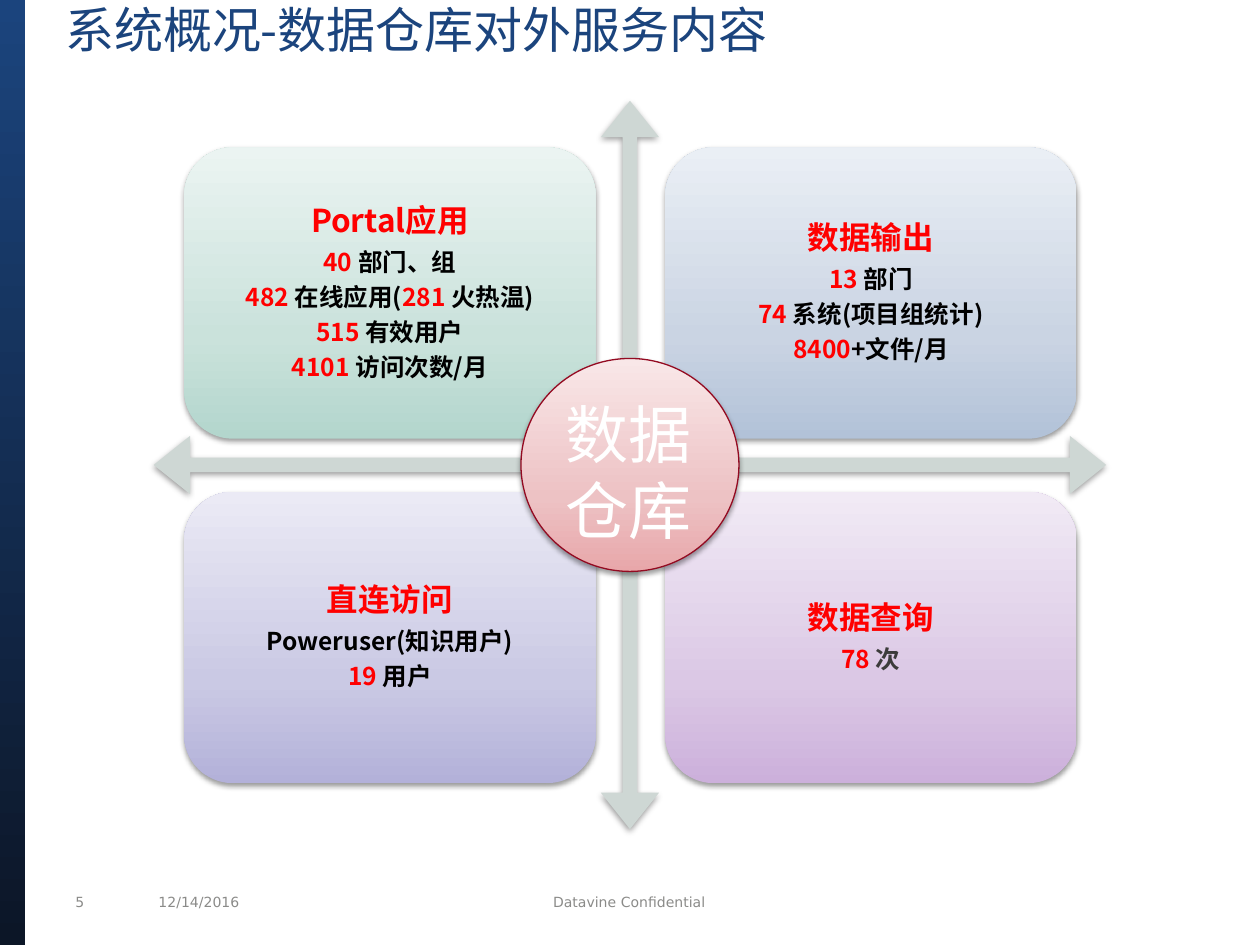
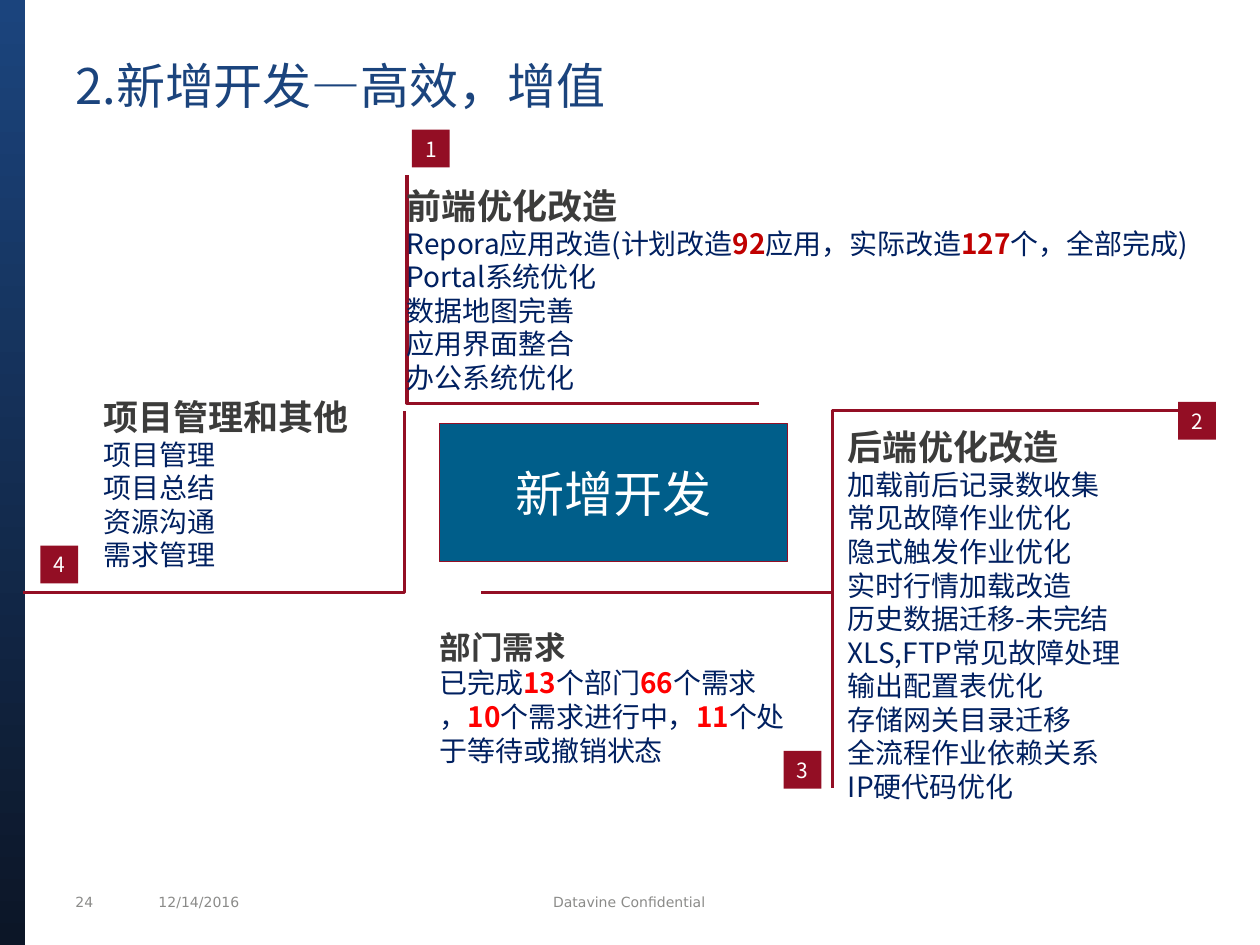
from dataclasses import dataclass
from lxml.etree import SubElement
from pptx import Presentation
from pptx.dml.color import RGBColor
from pptx.enum.shapes import MSO_SHAPE as Kind
from pptx.enum.text import MSO_ANCHOR as Anchor, PP_ALIGN as Align
from pptx.oxml.ns import qn
from pptx.util import Inches, Pt


@dataclass(frozen=True)
class Theme:
    font: str = "Noto Sans CJK SC"
    small: str = "DejaVu Sans"
    title: str = "1B447D"
    night: str = "0C1627"
    grey: str = "8B8B89"
    dark: str = "3C3C3B"
    black: str = "000000"
    white: str = "FFFFFF"
    navy: str = "002060"
    red: str = "FF0000"
    brick: str = "C00000"
    wine: str = "930E24"
    rim: str = "930A21"
    blue: str = "005E8A"
    arrow: str = "CED7D4"
    green: tuple = ("B3D6CD", "CAE2DB", "EBF4F2")
    steel: tuple = ("B2C2D8", "CAD4E3", "EAEFF5")
    violet: tuple = ("B3B1D9", "CAC9E4", "EBEAF5")
    mauve: tuple = ("CCB0DB", "DBC8E5", "F1EAF5")
    rose: tuple = ("E8A7AA", "EDC2C4", "F9E7E8")
    tiny: int = 8
    badge: int = 12
    fact: int = 14
    body: int = 16
    card: int = 18
    head: int = 20
    big: int = 28
    hub: int = 36


T = Theme()
COLS, ROWS = 10, 7.5  # one grid cell is one inch square
LEAD = 1.2  # line height as a share of the type size


def place(box):
    return [Inches(v) for v in box]


def paint(shape, fill=None, line=None, width=0.75, shadow=False):
    """Fill with one colour or with gradient stops, from bottom to top."""
    if fill is None:
        shape.fill.background()
    elif isinstance(fill, str):
        shape.fill.solid()
        shape.fill.fore_color.rgb = RGBColor.from_string(fill)
    else:
        shape.fill.gradient()
        shape.fill.gradient_angle = 90
        stops = shape._element.spPr.find(qn("a:gradFill")).find(qn("a:gsLst"))
        for stop in list(stops):
            stops.remove(stop)
        marks = (0, 35, 100) if len(fill) == 3 else (0, 100)
        for mark, tone in zip(marks, fill):
            stop = SubElement(stops, qn("a:gs"), pos=str(mark * 1000))
            SubElement(stop, qn("a:srgbClr"), val=tone)
    if line:
        shape.line.color.rgb = RGBColor.from_string(line)
        shape.line.width = Pt(width)
    else:
        shape.line.fill.background()
    shape.shadow.inherit = False
    if shadow:
        effect = shape._element.spPr.find(qn("a:effectLst"))
        cast = SubElement(effect, qn("a:outerShdw"), blurRad=str(Pt(3.1)),
                          dist=str(Pt(1.6)), dir="5400000", rotWithShape="0")
        tone = SubElement(cast, qn("a:srgbClr"), val=T.black)
        SubElement(tone, qn("a:alpha"), val="38000")


def draw(slide, kind, box, **look):
    shape = slide.shapes.add_shape(kind, *place(box))
    paint(shape, **look)
    return shape


def label(slide, box, lines, **form):
    shape = slide.shapes.add_textbox(*place(box))
    write(shape, lines, **form)


def write(shape, lines, size=T.body, color=T.navy, mark=T.red, font=T.font, bold=False,
          head=None, tint=T.dark, align=Align.LEFT, anchor=Anchor.MIDDLE,
          pad=(0, 0), wrap=True, lead=LEAD, after=0):
    """Write lines; parts between stars are accented, head is the first line's size."""
    frame = shape.text_frame
    frame.word_wrap = wrap
    frame.vertical_anchor = anchor
    frame.margin_left = frame.margin_right = Inches(pad[0])
    frame.margin_top = frame.margin_bottom = Inches(pad[1])
    for row, line in enumerate(lines):
        para = frame.add_paragraph() if row else frame.paragraphs[0]
        top = head is not None and row == 0
        points = head if top else size
        para.alignment = align
        para.line_spacing = Pt(points * lead)
        para.space_after = Pt(points * after)
        for turn, part in enumerate(line.split("*")):
            if not part:
                continue
            accent = turn % 2 == 1
            run = para.add_run()
            run.text = part
            run.font.size = Pt(points)
            run.font.name = font
            run.font.bold = bold or top or accent
            tone = tint if top else mark if accent else color
            run.font.color.rgb = RGBColor.from_string(tone)
            SubElement(run.font._element, qn("a:ea"), typeface=font)


def base(deck, title, spot, number):
    """Add a slide with the side band, the footers and its title."""
    slide = deck.slides.add_slide(deck.slide_layouts[6])
    draw(slide, Kind.RECTANGLE, (0, 0, COLS * 0.02, ROWS), fill=(T.night, T.title))
    for left, width, text, align in (
            (0.5, 0.5, number, Align.LEFT),
            (1.16, 1.67, "12/14/2016", Align.LEFT),
            (2.91, 4.17, "Datavine Confidential", Align.CENTER)):
        label(slide, (left, 7.04, width, 0.24), [text], size=T.tiny, color=T.grey,
              font=T.small, align=align, pad=(0.1, 0.05))
    label(slide, spot, [title], size=T.big, color=T.title, anchor=Anchor.TOP, pad=(0.1, 0))
    return slide


def card(slide, box, fill, lines, color=T.black):
    shape = draw(slide, Kind.ROUNDED_RECTANGLE, box, fill=fill, shadow=True)
    write(shape, lines, size=T.fact, head=T.card, color=color, tint=T.red, bold=True,
          align=Align.CENTER, pad=(0.07, 0.07), lead=0.9 * LEAD, after=0.35)


def matrix(slide, box):
    """Four cards around a hub, on a cross of arrows."""
    left, top, width, height = box
    cross = draw(slide, Kind.QUAD_ARROW, box, fill=T.arrow, shadow=True)
    for spot, share in enumerate((0.02, 0.04, 0.05)):
        cross.adjustments[spot] = share
    wide, high = width * 0.432, height * 0.4
    cards = (
        (T.green, T.black, ["Portal应用", "*40 *部门、组", "*482 *在线应用(*281 *火热温)",
                            "*515 *有效用户", "*4101 *访问次数/月"]),
        (T.steel, T.black, ["数据输出", "*13 *部门", "*74 *系统(项目组统计)",
                            "*8400*+文件/月"]),
        (T.violet, T.black, ["直连访问", "Poweruser(知识用户)", "*19 *用户"]),
        (T.mauve, T.dark, ["数据查询", "*78 *次"]),
    )
    for spot, (fill, color, lines) in enumerate(cards):
        row, col = divmod(spot, 2)
        x = left + width * (0.032 + 0.505 * col)
        y = top + height * (0.064 + 0.473 * row)
        card(slide, (x, y, wide, high), fill, lines, color)
    across, down = 1.73, 1.69
    hub = draw(slide, Kind.FLOWCHART_CONNECTOR,
               (left + (width - across) / 2, top + (height - down) / 2, across, down),
               fill=T.rose, line=T.rim, shadow=True)
    write(hub, ["数据仓库"], size=T.hub, color=T.white, anchor=Anchor.TOP, pad=(0.1, 0.05))


def elbow(slide, box, right, low):
    """Draw two sides of the box, which meet at the chosen corner."""
    left, top, width, height = box
    xs, ys = (left, left + width), (top, top + height)
    x, y = xs[right], ys[low]
    pen = slide.shapes.build_freeform(Inches(xs[not right]), Inches(y))
    pen.add_line_segments([(Inches(x), Inches(y)), (Inches(x), Inches(ys[not low]))],
                          close=False)
    paint(pen.convert_to_shape(), line=T.wine, width=1.75)


def topic(slide, box, number, corner, tag, block, lines, head=T.head, mark=T.red):
    """Elbow, numbered tag and text; tag and block are offset from the box."""
    left, top = box[:2]
    elbow(slide, box, *corner)
    badge = draw(slide, Kind.RECTANGLE, (left + tag[0], top + tag[1], 0.3, 0.3), fill=T.wine)
    write(badge, [number], size=T.badge, color=T.white, align=Align.CENTER, wrap=False)
    x, y, width, height = block
    label(slide, (left + x, top + y, width, height), lines, head=head, mark=mark)


def wheel(slide):
    """Four topics turning around the centre box."""
    centre = draw(slide, Kind.RECTANGLE, (3.49, 3.36, 2.76, 1.1),
                  fill=T.blue, line=T.wine, width=0.5)
    write(centre, ["新增开发"], size=T.big, color=T.white, align=Align.CENTER)
    topic(slide, (3.23, 1.39, 2.79, 1.81), "1", (False, True), (0.04, -0.36),
          (0, 0, 6.77, 1.81),
          ["前端优化改造", "Repora应用改造(计划改造*92*应用，实际改造*127*个，全部完成)",
           "Portal系统优化", "数据地图完善", "应用界面整合", "办公系统优化"], mark=T.brick)
    topic(slide, (6.61, 3.26, 3.04, 1.91), "2", (False, False), (2.74, -0.07),
          (0.12, 0.1, 2.52, 3.03),
          ["后端优化改造", "加载前后记录数收集", "常见故障作业优化", "隐式触发作业优化",
           "实时行情加载改造", "历史数据迁移-未完结", "XLS,FTP常见故障处理",
           "输出配置表优化", "存储网关目录迁移", "全流程作业依赖关系", "IP硬代码优化"])
    topic(slide, (3.82, 4.7, 2.79, 1.55), "3", (True, False), (2.4, 1.26),
          (-0.33, 0.28, 2.76, 1.11),
          ["部门需求", "已完成*13*个部门*66*个需求",
           "，*10*个需求进行中，*11*个处于等待或撤销状态"], head=T.card)
    topic(slide, (0.18, 3.26, 3.03, 1.44), "4", (True, True), (0.14, 1.07),
          (0.64, -0.13, 2.29, 1.41),
          ["项目管理和其他", "项目管理", "项目总结", "资源沟通", "需求管理"])


def main():
    deck = Presentation()
    deck.slide_width, deck.slide_height = Inches(COLS), Inches(ROWS)
    matrix(base(deck, "系统概况-数据仓库对外服务内容", (0.42, 0, 6.63, 1.25), "5"),
           (1.22, 0.8, 7.56, 5.78))
    wheel(base(deck, "2.新增开发—高效，增值", (0.5, 0.44, 9, 0.56), "24"))
    deck.save("out.pptx")


if __name__ == "__main__":
    main()
